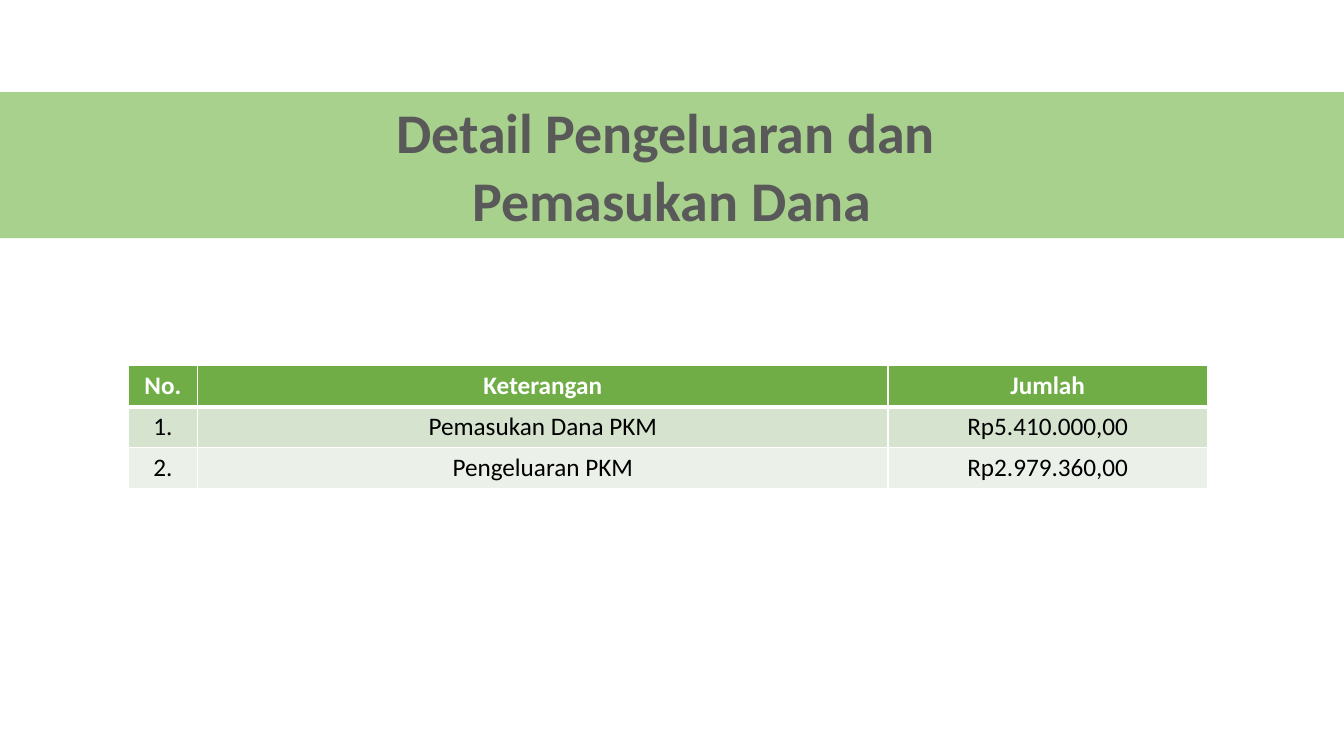
import pptx
import pptx.dml.color
import pptx.enum.text
import pptx.oxml
import pptx.oxml.ns
import pptx.util
from pptx.util import Cm

TITLE_LINES = ["Detail Pengeluaran dan ", "Pemasukan Dana"]
TABLE_ROWS = [
    ("No.", "Keterangan", "Jumlah"),
    ("1.", "Pemasukan Dana PKM", "Rp5.410.000,00"),
    ("2.", "Pengeluaran PKM", "Rp2.979.360,00"),
]
ROW_FILLS = ["70AD47", "D5E3CF", "EBF1E9"]
COLUMN_WIDTHS = [1.75, 17.4, 8.05]
ROW_HEIGHT = 1.03
TABLE_LEFT, TABLE_TOP = 3.23, 9.22
SLIDE_WIDTH, SLIDE_HEIGHT = 33.87, 19.05


def color(hex_value):
    return pptx.dml.color.RGBColor.from_string(hex_value)


def write_line(paragraph, text, size, hex_value, bold):
    paragraph.alignment = pptx.enum.text.PP_ALIGN.CENTER
    paragraph.line_spacing = 1.0
    run = paragraph.add_run()
    run.text = text
    run.font.name = "Calibri"
    run.font.size = pptx.util.Pt(size)
    run.font.bold = bold
    run.font.color.rgb = color(hex_value)


def set_borders(cell, widths):
    properties = cell._tc.get_or_add_tcPr()
    for position, (side, width) in enumerate(widths.items()):
        border = pptx.oxml.parse_xml(
            f'<a:{side} {pptx.oxml.ns.nsdecls("a")} w="{pptx.util.Pt(width)}">'
            '<a:solidFill><a:srgbClr val="FFFFFF"/></a:solidFill>'
            f'</a:{side}>')
        properties.insert(position, border)


presentation = pptx.Presentation()
presentation.slide_width = Cm(SLIDE_WIDTH)
presentation.slide_height = Cm(SLIDE_HEIGHT)
slide = presentation.slides.add_slide(presentation.slide_layouts[5])

# Title band across the full width
title = slide.shapes.title
title.left, title.top = Cm(0), Cm(2.32)
title.width, title.height = Cm(SLIDE_WIDTH), Cm(3.68)
title.fill.solid()
title.fill.fore_color.rgb = color("A9D18E")
title_frame = title.text_frame
title_frame.auto_size = pptx.enum.text.MSO_AUTO_SIZE.SHAPE_TO_FIT_TEXT
title_frame.vertical_anchor = pptx.enum.text.MSO_ANCHOR.MIDDLE
for index, line in enumerate(TITLE_LINES):
    paragraph = title_frame.add_paragraph() if index else title_frame.paragraphs[0]
    write_line(paragraph, line, 40, "595959", True)

# Income and spending table
table = slide.shapes.add_table(
    len(TABLE_ROWS), len(COLUMN_WIDTHS), Cm(TABLE_LEFT), Cm(TABLE_TOP),
    Cm(sum(COLUMN_WIDTHS)), Cm(ROW_HEIGHT * len(TABLE_ROWS))).table
for column, width in zip(table.columns, COLUMN_WIDTHS):
    column.width = Cm(width)
for row_index, (row, texts, fill) in enumerate(zip(table.rows, TABLE_ROWS, ROW_FILLS)):
    row.height = Cm(ROW_HEIGHT)
    is_header = row_index == 0
    borders = {"lnL": 1, "lnR": 1,
               "lnT": 3 if row_index == 1 else 1, "lnB": 3 if is_header else 1}
    for cell, text in zip(row.cells, texts):
        cell.fill.solid()
        cell.fill.fore_color.rgb = color(fill)
        set_borders(cell, borders)
        write_line(cell.text_frame.paragraphs[0], text, 18,
                   "FFFFFF" if is_header else "000000", is_header)

presentation.save("out.pptx")
